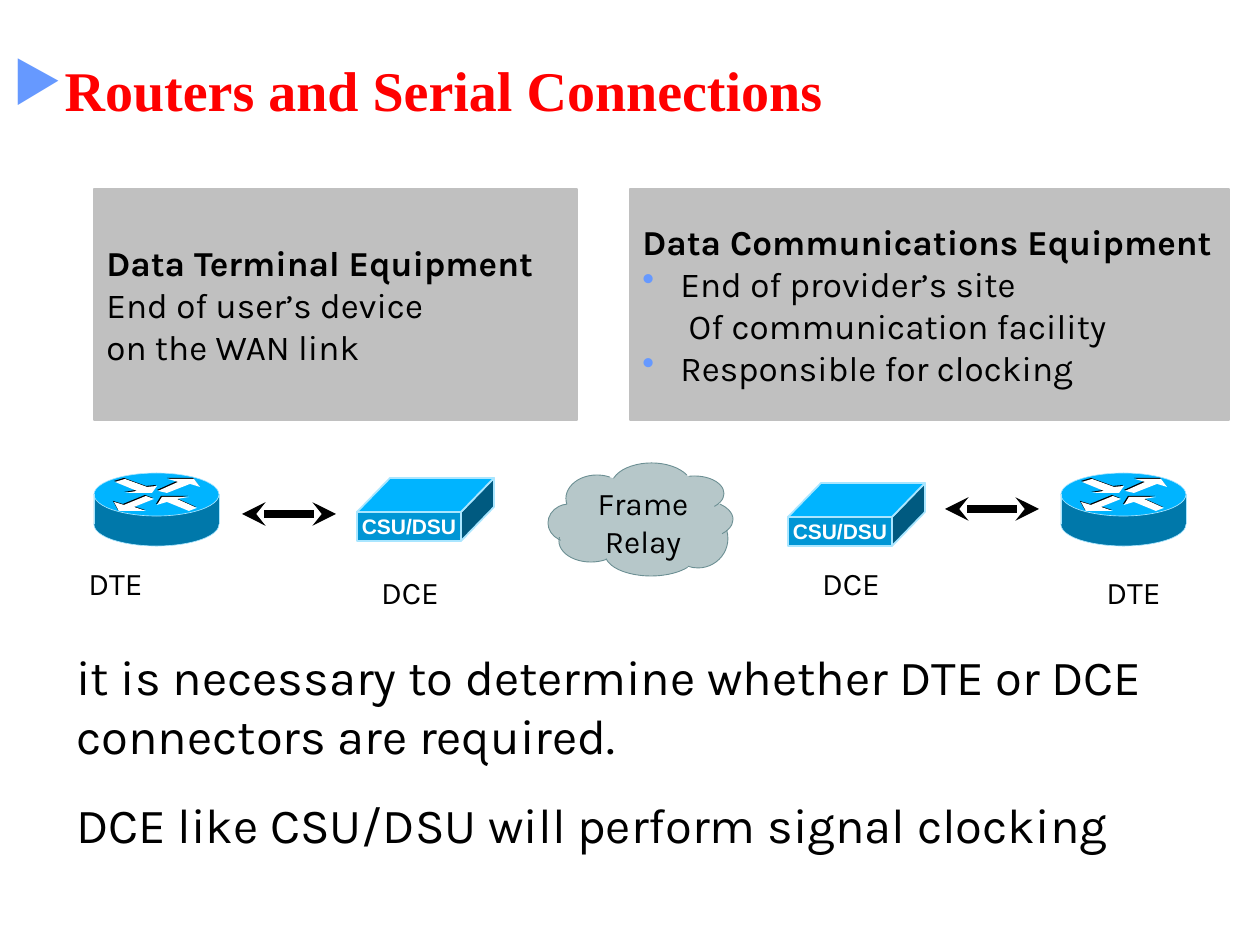
from dataclasses import dataclass

from lxml.etree import SubElement
from pptx import Presentation
from pptx.dml.color import RGBColor
from pptx.enum.shapes import MSO_CONNECTOR, MSO_SHAPE
from pptx.enum.text import MSO_ANCHOR, PP_ALIGN
from pptx.oxml.ns import qn
from pptx.util import Emu, Pt

PX = 914400 / 126

BLACK = RGBColor(0x00, 0x00, 0x00)
WHITE = RGBColor(0xFF, 0xFF, 0xFF)
RED = RGBColor(0xFF, 0x00, 0x00)
BULLET_BLUE = RGBColor(0x66, 0x99, 0xFF)
PANEL_GRAY = RGBColor(0xC0, 0xC0, 0xC0)
TOP_BLUE = RGBColor(0x00, 0xB4, 0xFF)
FRONT_BLUE = RGBColor(0x00, 0x96, 0xD5)
BODY_BLUE = RGBColor(0x00, 0x78, 0xAA)
SIDE_BLUE = RGBColor(0x00, 0x5A, 0x80)
EDGE_BLUE = RGBColor(0xAA, 0xE6, 0xFF)
CLOUD_FILL = RGBColor(0xB6, 0xC7, 0xC9)
CLOUD_EDGE = RGBColor(0x6C, 0x8F, 0x93)


@dataclass(frozen=True)
class Box:
    left: int
    top: int
    width: int
    height: int

    def emu(self) -> list[Emu]:
        return [px(v) for v in (self.left, self.top, self.width, self.height)]


@dataclass(frozen=True)
class Puff:
    box: Box
    start: int
    end: int


@dataclass(frozen=True)
class Line:
    text: str
    bold: bool = False
    bullet: str = ""
    indent: int = 0


ROUTERS = [(94, 473), (1061, 473)]
UNITS = [(357, 478), (788, 483)]
LINKS = [(242, 514), (945, 509)]
LABELS = [("DTE", Box(74, 558, 83, 50)), ("DCE", Box(367, 567, 86, 50)),
          ("DTE", Box(1092, 567, 83, 50)), ("DCE", Box(808, 558, 86, 50))]
ROUTER_ARROWS = [
    [(64, 18), (73, 20), (96, 11), (106, 14), (100, 6), (74, 6), (84, 9)],
    [(60, 26), (52, 23), (30, 32), (20, 29), (25, 38), (52, 38), (40, 34)],
    [(21, 9), (31, 6), (53, 14), (63, 13), (58, 20), (31, 20), (43, 18)],
    [(103, 35), (95, 38), (73, 29), (63, 32), (68, 24), (95, 24), (83, 26)],
]
PUFFS = [
    Puff(Box(611, 463, 81, 47), 192, 342),
    Puff(Box(566, 475, 62, 47), 169, 301),
    Puff(Box(559, 520, 64, 42), 49, 187),
    Puff(Box(665, 476, 59, 35), 251, 33),
    Puff(Box(665, 500, 68, 39), 324, 32),
    Puff(Box(668, 509, 60, 59), 344, 110),
    Puff(Box(548, 504, 43, 38), 117, 262),
    Puff(Box(605, 532, 92, 44), 20, 174),
]
PANELS = [
    (Box(94, 189, 483, 231), [
        Line("Data Terminal Equipment", bold=True),
        Line("End of user’s device"),
        Line("on the WAN link")]),
    (Box(630, 189, 599, 231), [
        Line("Data Communications Equipment", bold=True),
        Line("End of provider’s site\v Of communication facility", bullet="•", indent=38),
        Line("Responsible for clocking", bullet="•", indent=38)]),
]
NOTES = [Line("it is necessary to determine whether DTE or DCE connectors are required."),
         Line("DCE like CSU/DSU will perform signal clocking")]


def px(value: float) -> Emu:
    return Emu(round(value * PX))


def paint(shape, fill=None, edge=None, weight=0.75):
    shape.shadow.inherit = False
    if fill is None:
        shape.fill.background()
    else:
        shape.fill.solid()
        shape.fill.fore_color.rgb = fill
    if edge is None:
        shape.line.fill.background()
    else:
        shape.line.color.rgb = edge
        shape.line.width = Pt(weight)
    return shape


def add_preset(page, kind, box: Box, **style):
    return paint(page.shapes.add_shape(kind, *box.emu()), **style)


def add_polygon(page, points, left: int, top: int, **style):
    corners = [(left + x, top + y) for x, y in points]
    builder = page.shapes.build_freeform(*corners[0], scale=PX)
    builder.add_line_segments(corners[1:], close=True)
    return paint(builder.convert_to_shape(), **style)


def add_line(page, start, end, color: RGBColor, weight: float, arrows: bool = False):
    line = page.shapes.add_connector(
        MSO_CONNECTOR.STRAIGHT, *[px(v) for v in (*start, *end)])
    line.line.color.rgb = color
    line.line.width = Pt(weight)
    properties = line._element.spPr
    if arrows:
        for name in ("a:headEnd", "a:tailEnd"):
            SubElement(properties.find(qn("a:ln")), qn(name), type="stealth")
    SubElement(properties, qn("a:effectLst"))


def write(shape, lines: list[Line], *, size: int, font: str = "Karla", color=BLACK,
          align=PP_ALIGN.LEFT, anchor=MSO_ANCHOR.MIDDLE, wrap: bool = True,
          padded: bool = True, before: float = 0):
    frame = shape.text_frame
    frame.word_wrap = wrap
    frame.vertical_anchor = anchor
    if not padded:
        frame.margin_left = frame.margin_right = frame.margin_top = frame.margin_bottom = 0
    for index, line in enumerate(lines):
        para = frame.paragraphs[0] if index == 0 else frame.add_paragraph()
        para.text = line.text
        para.alignment = align
        para.space_before = Pt(before)
        for span in para.runs:
            span.font.name = font
            span.font.size = Pt(size)
            span.font.bold = line.bold
            span.font.color.rgb = color
        if line.bullet:
            properties = para._p.get_or_add_pPr()
            properties.set("marL", str(px(line.indent)))
            properties.set("indent", str(-px(line.indent)))
            tint = SubElement(properties, qn("a:buClr"))
            SubElement(tint, qn("a:srgbClr"), val=str(BULLET_BLUE))
            SubElement(properties, qn("a:buChar"), char=line.bullet)


def add_text(page, box: Box, lines: list[Line], **style):
    write(page.shapes.add_textbox(*box.emu()), lines, **style)


def draw_router(page, left: int, top: int):
    rim = {"edge": EDGE_BLUE, "weight": 0.37}
    add_preset(page, MSO_SHAPE.OVAL, Box(left, top + 30, 125, 43), fill=BODY_BLUE, **rim)
    add_preset(page, MSO_SHAPE.RECTANGLE, Box(left, top + 21, 125, 30), fill=BODY_BLUE)
    add_preset(page, MSO_SHAPE.OVAL, Box(left, top, 125, 43), fill=TOP_BLUE, **rim)
    for shift, color in ((-1, BLACK), (0, WHITE)):
        for arrow in ROUTER_ARROWS:
            add_polygon(page, arrow, left + shift, top + shift, fill=color)
    for side in (left, left + 125):
        add_line(page, (side, top + 21), (side, top + 51), EDGE_BLUE, 0.37)


def draw_unit(page, left: int, top: int):
    rim = {"edge": EDGE_BLUE, "weight": 1}
    front = add_preset(page, MSO_SHAPE.RECTANGLE, Box(left, top + 34, 104, 29),
                       fill=FRONT_BLUE, **rim)
    add_polygon(page, [(104, 34), (137, 0), (137, 29), (104, 63)], left, top,
                fill=SIDE_BLUE, **rim)
    add_polygon(page, [(104, 34), (137, 0), (33, 0), (0, 34)], left, top,
                fill=TOP_BLUE, **rim)
    write(front, [Line("CSU/DSU", bold=True)], size=12, font="Arial", color=WHITE,
          align=PP_ALIGN.CENTER, padded=False)


def draw_cloud(page):
    for puff in PUFFS:
        add_preset(page, MSO_SHAPE.OVAL, puff.box, fill=CLOUD_FILL)
    for puff in PUFFS:
        arc = add_preset(page, MSO_SHAPE.ARC, puff.box, edge=CLOUD_EDGE, weight=0.5)
        arc.adjustments[0] = puff.start * 0.6
        arc.adjustments[1] = puff.end * 0.6
    center = add_preset(page, MSO_SHAPE.RECTANGLE, Box(577, 488, 132, 67), fill=CLOUD_FILL)
    write(center, [Line("Frame Relay")], size=18, align=PP_ALIGN.CENTER, padded=False)


def main():
    deck = Presentation()
    deck.slide_width, deck.slide_height = px(1260), px(945)
    page = deck.slides.add_slide(deck.slide_layouts[5])
    title = page.shapes.title
    title.left, title.top, title.width, title.height = Box(0, 42, 1260, 94).emu()
    write(title, [Line("Routers and Serial Connections", bold=True, bullet="▶")],
          size=32, font="Times New Roman", color=RED)
    for left, top in ROUTERS:
        draw_router(page, left, top)
    for left, top in UNITS:
        draw_unit(page, left, top)
    draw_cloud(page)
    for left, top in LINKS:
        add_line(page, (left, top), (left + 94, top), BLACK, 4.5, arrows=True)
    for text, box in LABELS:
        add_text(page, box, [Line(text)], size=18, align=PP_ALIGN.CENTER,
                 anchor=MSO_ANCHOR.TOP, wrap=False)
    for box, lines in PANELS:
        panel = add_preset(page, MSO_SHAPE.RECTANGLE, box, fill=PANEL_GRAY, edge=PANEL_GRAY)
        write(panel, lines, size=20, wrap=False)
    add_text(page, Box(64, 640, 1124, 300), NOTES, size=28, anchor=MSO_ANCHOR.TOP, before=17.5)
    deck.save("out.pptx")


if __name__ == "__main__":
    main()
